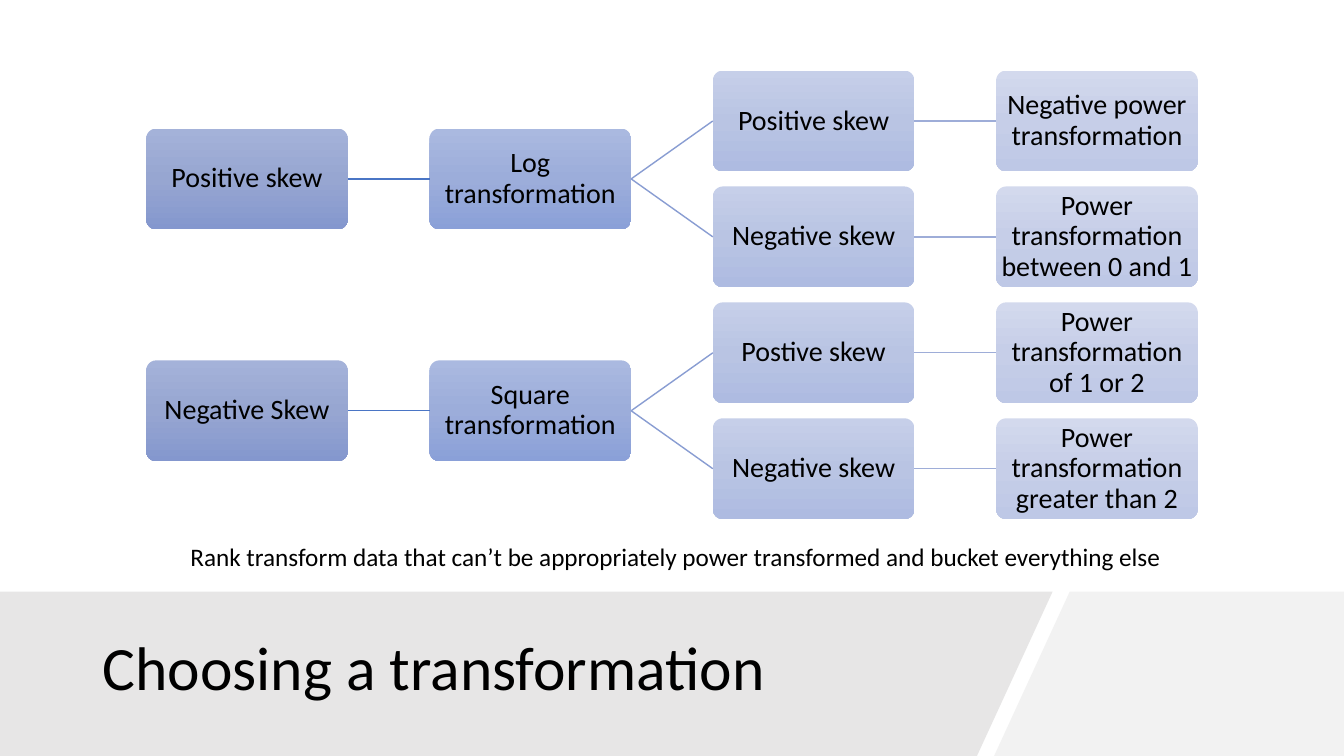
"""Build the slide that shows how to choose a transformation for skewed data."""
import copy
from dataclasses import dataclass
from typing import Optional

import lxml.etree
import pptx
import pptx.dml.color
import pptx.enum.shapes
import pptx.enum.text
import pptx.oxml.ns
import pptx.shapes.autoshape
import pptx.slide
import pptx.util

Inches = pptx.util.Inches
Pt = pptx.util.Pt
RGBColor = pptx.dml.color.RGBColor
Anchor = pptx.enum.text.MSO_ANCHOR
Align = pptx.enum.text.PP_ALIGN
Shape = pptx.shapes.autoshape.Shape


@dataclass(frozen=True)
class Theme:
    """Colours and type sizes of the slide."""
    font: str = "Calibri"
    text: str = "000000"
    title_size: int = 44
    node_size: int = 20
    note_size: int = 18
    band: str = "E7E6E6"
    band_end: str = "F2F2F2"
    node_gradients: tuple = (
        ("A4B2D9", "97A6D1", "8497CE"),
        ("AAB9E0", "9CADDA", "8AA0D8"),
        ("C6CFE9", "B9C4E3", "AEBBE1"),
        ("D3D9ED", "C6CEE8", "BEC8E6"),
    )
    link_colors: tuple = ("4A75C5", "899DD2", "9EADD8")


@dataclass(frozen=True)
class Node:
    """A box of the decision tree, placed by column and row."""
    text: str
    column: int
    row: float
    parent: Optional[int] = None


THEME = Theme()
NODE_WIDTH, NODE_HEIGHT = 2.0, 1.0
TREE_LEFT, TREE_TOP = 1.45, 0.7
COLUMN_STEP, ROW_STEP = 2.81, 1.15
BAND_TOP, SLIDE_WIDTH, SLIDE_HEIGHT = 5.87, 13.33, 7.5
LEFT_SITE, RIGHT_SITE = 1, 3

NODES = (
    Node("Positive skew", 0, 0.5),
    Node("Log transformation", 1, 0.5, 0),
    Node("Positive skew", 2, 0, 1),
    Node("Negative power transformation", 3, 0, 2),
    Node("Negative skew", 2, 1, 1),
    Node("Power transformation between 0 and 1", 3, 1, 4),
    Node("Negative Skew", 0, 2.5),
    Node("Square transformation", 1, 2.5, 6),
    Node("Postive skew", 2, 2, 7),
    Node("Power transformation of 1 or 2", 3, 2, 8),
    Node("Negative skew", 2, 3, 7),
    Node("Power transformation greater than 2", 3, 3, 10),
)

BANDS = (
    (((10.61, BAND_TOP), (SLIDE_WIDTH, BAND_TOP),
      (SLIDE_WIDTH, SLIDE_HEIGHT), (9.86, SLIDE_HEIGHT)), THEME.band_end),
    (((0, BAND_TOP), (10.44, BAND_TOP),
      (9.69, SLIDE_HEIGHT), (0, SLIDE_HEIGHT)), THEME.band),
)


def apply_format(target: object, values: dict) -> None:
    """Set every attribute named in values."""
    for name, value in values.items():
        setattr(target, name, value)


def write_text(shape: Shape, text: str, size: int, frame_format: dict,
               paragraph_format: dict) -> None:
    """Write one formatted paragraph into a shape."""
    frame = shape.text_frame
    apply_format(frame, {"word_wrap": True, **frame_format})
    paragraph = frame.paragraphs[0]
    apply_format(paragraph, paragraph_format)
    run = paragraph.add_run()
    run.text = text
    apply_format(run.font, {"name": THEME.font, "size": Pt(size)})
    run.font.color.rgb = RGBColor.from_string(THEME.text)


def add_band(slide: pptx.slide.Slide, points: tuple, color: str) -> None:
    """Draw one filled outline of the bottom band."""
    corners = [(Inches(x), Inches(y)) for x, y in points]
    builder = slide.shapes.build_freeform(*corners[0])
    builder.add_line_segments(corners[1:], close=True)
    shape = builder.convert_to_shape()
    shape.shadow.inherit = False
    shape.fill.solid()
    shape.fill.fore_color.rgb = RGBColor.from_string(color)
    shape.line.fill.background()


def fill_gradient(shape: Shape, colors: tuple) -> None:
    """Fill a shape from top to bottom with evenly spaced colours."""
    fill = shape.fill
    fill.gradient()
    fill.gradient_angle = 270
    stop_list = shape.element.spPr.find(".//" + pptx.oxml.ns.qn("a:gsLst"))
    while len(stop_list) < len(colors):
        stop_list.append(copy.deepcopy(stop_list[0]))
    for index, (stop, color) in enumerate(zip(fill.gradient_stops, colors)):
        stop.position = index / (len(colors) - 1)
        stop.color.rgb = RGBColor.from_string(color)


def add_node(slide: pptx.slide.Slide, node: Node) -> Shape:
    """Draw one box of the decision tree."""
    shape = slide.shapes.add_shape(
        pptx.enum.shapes.MSO_SHAPE.ROUNDED_RECTANGLE,
        Inches(TREE_LEFT + node.column * COLUMN_STEP),
        Inches(TREE_TOP + node.row * ROW_STEP),
        Inches(NODE_WIDTH), Inches(NODE_HEIGHT))
    shape.adjustments[0] = 0.1
    shape.shadow.inherit = False
    shape.line.fill.background()
    fill_gradient(shape, THEME.node_gradients[node.column])
    margins = dict.fromkeys(
        ("margin_left", "margin_right", "margin_top", "margin_bottom"), Inches(0.02))
    write_text(shape, node.text, THEME.node_size,
               {"vertical_anchor": Anchor.MIDDLE, **margins},
               {"alignment": Align.CENTER, "line_spacing": 0.9})
    return shape


def add_link(slide: pptx.slide.Slide, parent: Shape, child: Shape, color: str) -> None:
    """Join the right side of a parent to the left side of its child."""
    link = slide.shapes.add_connector(
        pptx.enum.shapes.MSO_CONNECTOR.STRAIGHT, 0, 0, 0, 0)
    link.begin_connect(parent, RIGHT_SITE)
    link.end_connect(child, LEFT_SITE)
    link.line.width = Pt(1)
    link.line.color.rgb = RGBColor.from_string(color)
    lxml.etree.SubElement(link.element.spPr, pptx.oxml.ns.qn("a:effectLst"))


def add_tree(slide: pptx.slide.Slide) -> None:
    """Draw all boxes and the links between them."""
    shapes = [add_node(slide, node) for node in NODES]
    for node, shape in zip(NODES, shapes):
        if node.parent is not None:
            add_link(slide, shapes[node.parent], shape,
                     THEME.link_colors[node.column - 1])


def main() -> None:
    """Build and save the presentation."""
    presentation = pptx.Presentation()
    apply_format(presentation, {"slide_width": Inches(SLIDE_WIDTH),
                                "slide_height": Inches(SLIDE_HEIGHT)})
    slide = presentation.slides.add_slide(presentation.slide_layouts[6])
    for points, color in BANDS:
        add_band(slide, points, color)
    title = slide.shapes.add_textbox(
        Inches(0.92), Inches(6.05), Inches(8.83), Inches(1.2))
    write_text(title, "Choosing a transformation", THEME.title_size,
               {"vertical_anchor": Anchor.MIDDLE}, {"line_spacing": 0.9})
    add_tree(slide)
    note = slide.shapes.add_textbox(
        Inches(1.79), Inches(5.32), Inches(11.54), Inches(0.4))
    write_text(note, "Rank transform data that can’t be appropriately power "
               "transformed and bucket everything else", THEME.note_size, {}, {})
    presentation.save("out.pptx")


main()
